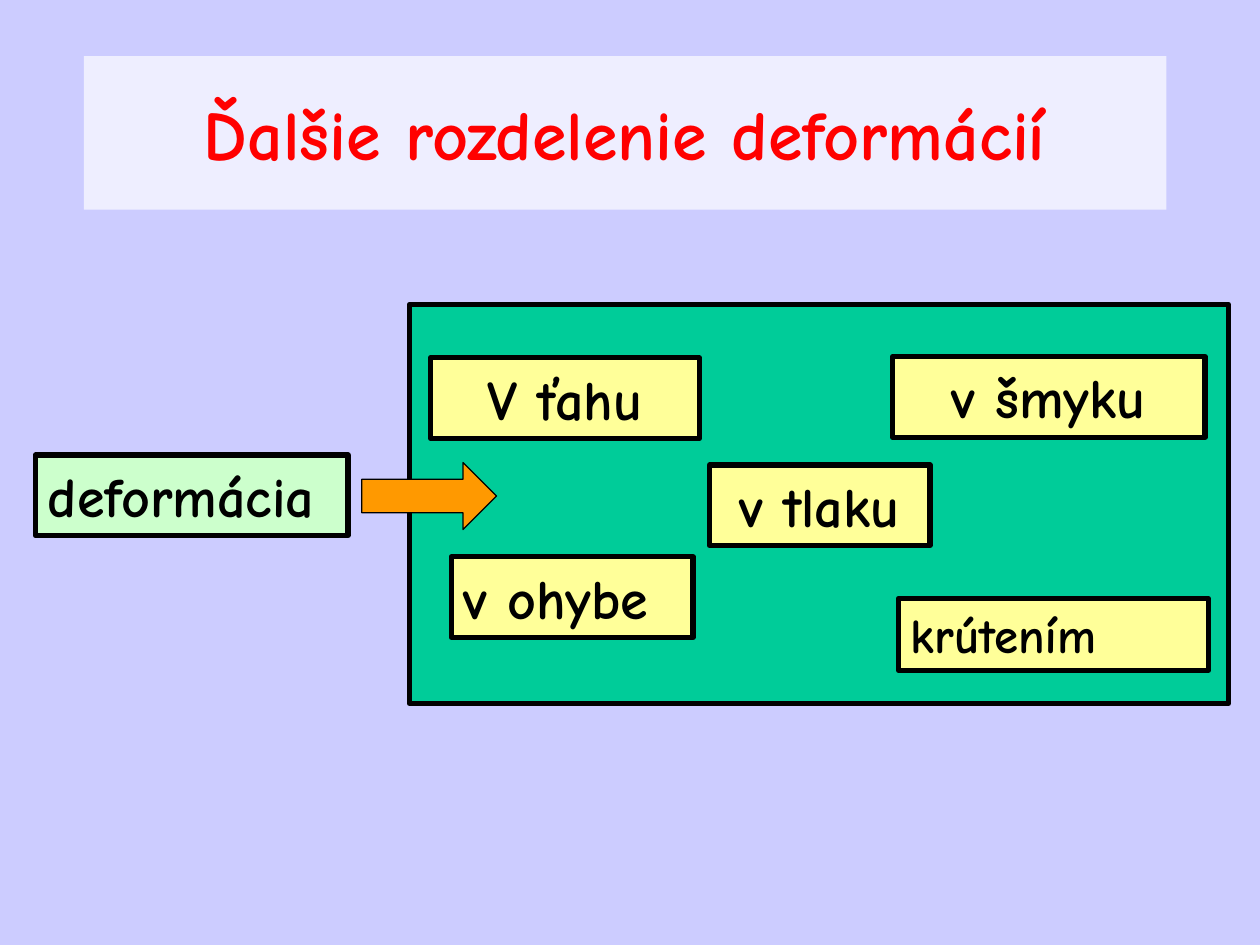
import pptx
import pptx.dml.color
import pptx.enum.shapes
import pptx.enum.text
import pptx.oxml
import pptx.oxml.ns
import pptx.util

Pt = pptx.util.Pt
RGB = pptx.dml.color.RGBColor
SHAPE = pptx.enum.shapes.MSO_SHAPE
ALIGN = pptx.enum.text.PP_ALIGN
ANCHOR = pptx.enum.text.MSO_ANCHOR

LILAC = RGB(0xCC, 0xCC, 0xFF)
WHITE = RGB(0xFF, 0xFF, 0xFF)
RED = RGB(0xFF, 0x00, 0x00)
BLACK = RGB(0x00, 0x00, 0x00)
TEAL = RGB(0x00, 0xCC, 0x99)
MINT = RGB(0xCC, 0xFF, 0xCC)
CREAM = RGB(0xFF, 0xFF, 0x99)
ORANGE = RGB(0xFF, 0x99, 0x00)

FONT = {"name": "Comic Neue", "bold": True}
FRAME = {
    "word_wrap": True,
    "auto_size": pptx.enum.text.MSO_AUTO_SIZE.NONE,
    "margin_left": Pt(7.2),
    "margin_right": Pt(7.2),
    "margin_top": Pt(3.6),
    "margin_bottom": Pt(3.6),
}

# text, (left, top, width, height), fill, size, alignment
LABELS = [
    ("deformácia", (20.2, 260, 178.6, 46), MINT, 32, ALIGN.LEFT),
    ("V\u00a0ťahu", (246.2, 204.5, 153.4, 46), CREAM, 32, ALIGN.CENTER),
    ("v\u00a0tlaku", (405.4, 265.7, 126, 46), CREAM, 32, ALIGN.CENTER),
    ("v\u00a0ohybe", (257.8, 318.2, 138.2, 46), CREAM, 32, ALIGN.LEFT),
    ("v šmyku", (510, 203.8, 178.6, 46), CREAM, 32, ALIGN.CENTER),
    ("krútením", (513.4, 342, 177.1, 41), CREAM, 28, ALIGN.LEFT),
]


def apply(item, values):
    for key, value in values.items():
        setattr(item, key, value)


def place(shape, box):
    keys = ("left", "top", "width", "height")
    apply(shape, dict(zip(keys, map(Pt, box))))


def paint(item, color):
    item.fill.solid()
    item.fill.fore_color.rgb = color


def fade(shape, percent):
    """Set the opacity of a solid fill."""
    color = shape.fill._xPr.find(".//" + pptx.oxml.ns.qn("a:srgbClr"))
    alpha = pptx.oxml.parse_xml(
        f'<a:alpha {pptx.oxml.ns.nsdecls("a")} val="{percent * 1000}"/>')
    color.append(alpha)


def write(shape, text, size, color, align, anchor):
    frame = shape.text_frame
    apply(frame, FRAME | {"text": text, "vertical_anchor": anchor})
    para = frame.paragraphs[0]
    para.alignment = align
    font = para.runs[0].font
    apply(font, FONT | {"size": Pt(size)})
    font.color.rgb = color


def add_title(slide, text, box):
    title = slide.shapes.title
    place(title, box)
    paint(title, WHITE)
    fade(title, 68)
    write(title, text, 40, RED, ALIGN.CENTER, ANCHOR.MIDDLE)


def add_shape(slide, kind, box, color, width):
    shape = slide.shapes.add_shape(kind, *map(Pt, box))
    shape.shadow.inherit = False
    paint(shape, color)
    shape.line.color.rgb = BLACK
    shape.line.width = Pt(width)
    return shape


def add_label(slide, text, box, color, size, align):
    shape = add_shape(slide, SHAPE.RECTANGLE, box, color, 3)
    write(shape, text, size, BLACK, align, ANCHOR.TOP)


def main():
    deck = pptx.Presentation()
    deck.slide_width, deck.slide_height = Pt(720), Pt(540)
    slide = deck.slides.add_slide(deck.slide_layouts[5])
    paint(slide.background, LILAC)

    add_title(slide, "Ďalšie rozdelenie deformácií", (48, 32, 618.5, 87.8))
    add_shape(slide, SHAPE.RECTANGLE, (234, 174, 468, 228), TEAL, 3)
    for label in LABELS:
        add_label(slide, *label)
    add_shape(slide, SHAPE.RIGHT_ARROW, (206.8, 264.3, 77, 38.3), ORANGE, 0.75)

    deck.save("out.pptx")


if __name__ == "__main__":
    main()
